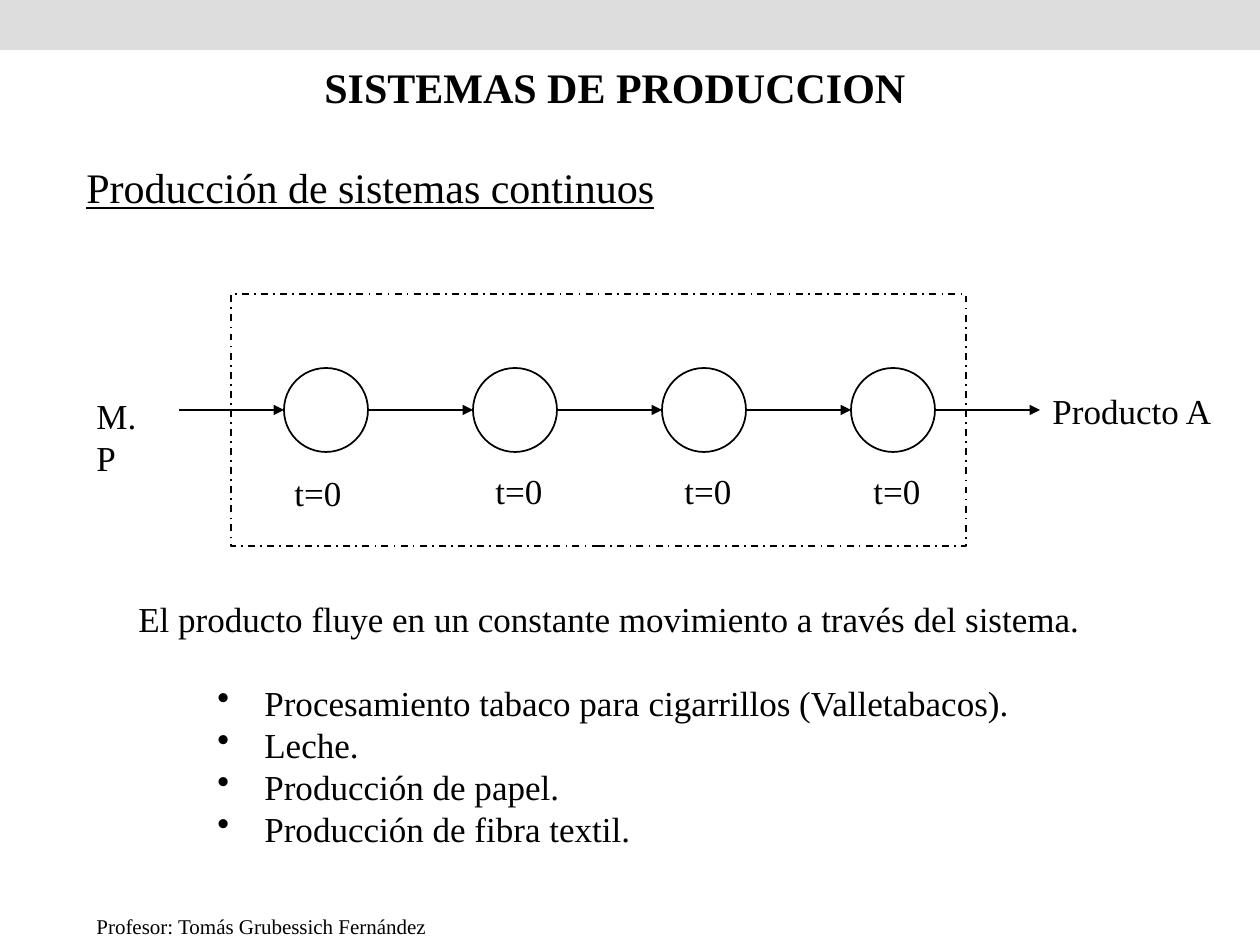
from lxml.etree import SubElement
from pptx import Presentation
from pptx.dml.color import RGBColor
from pptx.enum.dml import MSO_LINE
from pptx.enum.shapes import MSO_CONNECTOR, MSO_SHAPE
from pptx.enum.text import PP_ALIGN
from pptx.oxml.ns import qn
from pptx.util import Emu, Pt

FONT = "Times New Roman"
BLACK = "000000"
GREY = "DDDDDD"
EXAMPLES = [
    "Procesamiento tabaco para cigarrillos (Valletabacos).",
    "Leche.",
    "Producción de papel.",
    "Producción de fibra textil.",
]


def px(length):
    return Emu(round(length * 914400 / 126))


def color(hex_value):
    return RGBColor.from_string(hex_value)


def style(para, size, bold=False, underline=False):
    font = para.font
    font.name, font.size = FONT, Pt(size)
    font.bold, font.underline = bold, underline
    font.color.rgb = color(BLACK)


def add_text(page, box, text, size, wrap=True, align=PP_ALIGN.LEFT, **look):
    frame = page.shapes.add_textbox(*map(px, box)).text_frame
    frame.word_wrap = wrap
    para = frame.paragraphs[0]
    para.text = text
    para.alignment = align
    style(para, size, **look)
    return frame


def add_outline(page, kind, box):
    shape = page.shapes.add_shape(kind, *map(px, box))
    shape.shadow.inherit = False
    shape.fill.background()
    shape.line.color.rgb = color(BLACK)
    shape.line.width = Pt(1)
    return shape


def add_arrow(page, left, y, length):
    arrow = page.shapes.add_connector(
        MSO_CONNECTOR.STRAIGHT, px(left), px(y), px(left + length), px(y))
    arrow.line.color.rgb = color(BLACK)
    arrow.line.width = Pt(1)
    properties = arrow.element.spPr
    SubElement(properties.find(qn("a:ln")), qn("a:tailEnd"), type="triangle")
    SubElement(properties, qn("a:effectLst"))


def add_band(page, box):
    band = page.shapes.add_shape(MSO_SHAPE.RECTANGLE, *map(px, box))
    band.shadow.inherit = False
    band.fill.solid()
    band.fill.fore_color.rgb = color(GREY)
    band.line.fill.background()


def add_flow(page, box, stations=4):
    left, top, width, height = box
    diameter, gap = 84, 105
    pitch = diameter + gap
    first, circle_top = left + 53, top + 74
    middle = circle_top + diameter / 2

    for index in range(stations):
        x = first + index * pitch
        add_outline(page, MSO_SHAPE.OVAL, (x, circle_top, diameter, diameter))
        add_arrow(page, x - gap, middle, gap)
        shift, drop = (-2, 171) if index == 0 else (10, 169)
        add_text(page, (x + shift, top + drop, 72, 54), "t=0", 20, wrap=False)
    add_arrow(page, first + stations * pitch - gap, middle, gap)

    system = add_outline(page, MSO_SHAPE.RECTANGLE, box)
    system.line.dash_style = MSO_LINE.DASH_DOT
    add_text(page, (left - 147, top + 94, 84, 54), "M.P", 20, wrap=False)
    add_text(page, (left + width + 74, top + 89, 185, 54), "Producto A", 20, wrap=False)


def add_explanation(page, box):
    frame = add_text(
        page, box,
        "El producto fluye en un constante movimiento a través del sistema.",
        20, align=PP_ALIGN.JUSTIFY)
    for index, example in enumerate(EXAMPLES):
        para = frame.add_paragraph()
        para.text = example
        para.level = 1
        para.alignment = PP_ALIGN.JUSTIFY
        para.space_before = Pt(0 if index else 24)
        style(para, 20)
        properties = para._p.get_or_add_pPr()
        properties.set("marL", str(px(126)))
        properties.set("indent", str(-px(47)))
        SubElement(properties, qn("a:buChar"), char="•")
        properties.append(properties.find(qn("a:defRPr")))


def main():
    deck = Presentation()
    deck.slide_width, deck.slide_height = px(1260), px(945)
    page = deck.slides.add_slide(deck.slide_layouts[6])
    add_band(page, (0, 0, 1260, 50))
    add_text(page, (84, 907, 1091, 38), "Profesor: Tomás Grubessich Fernández", 12)
    add_text(page, (312, 55, 606, 63), "SISTEMAS DE PRODUCCION", 24,
             wrap=False, align=PP_ALIGN.CENTER, bold=True)
    add_text(page, (74, 155, 1009, 63), "Producción de sistemas continuos", 24,
             underline=True)
    add_flow(page, (231, 294, 735, 252))
    add_explanation(page, (126, 591, 1032, 326))
    deck.save("out.pptx")


if __name__ == "__main__":
    main()
